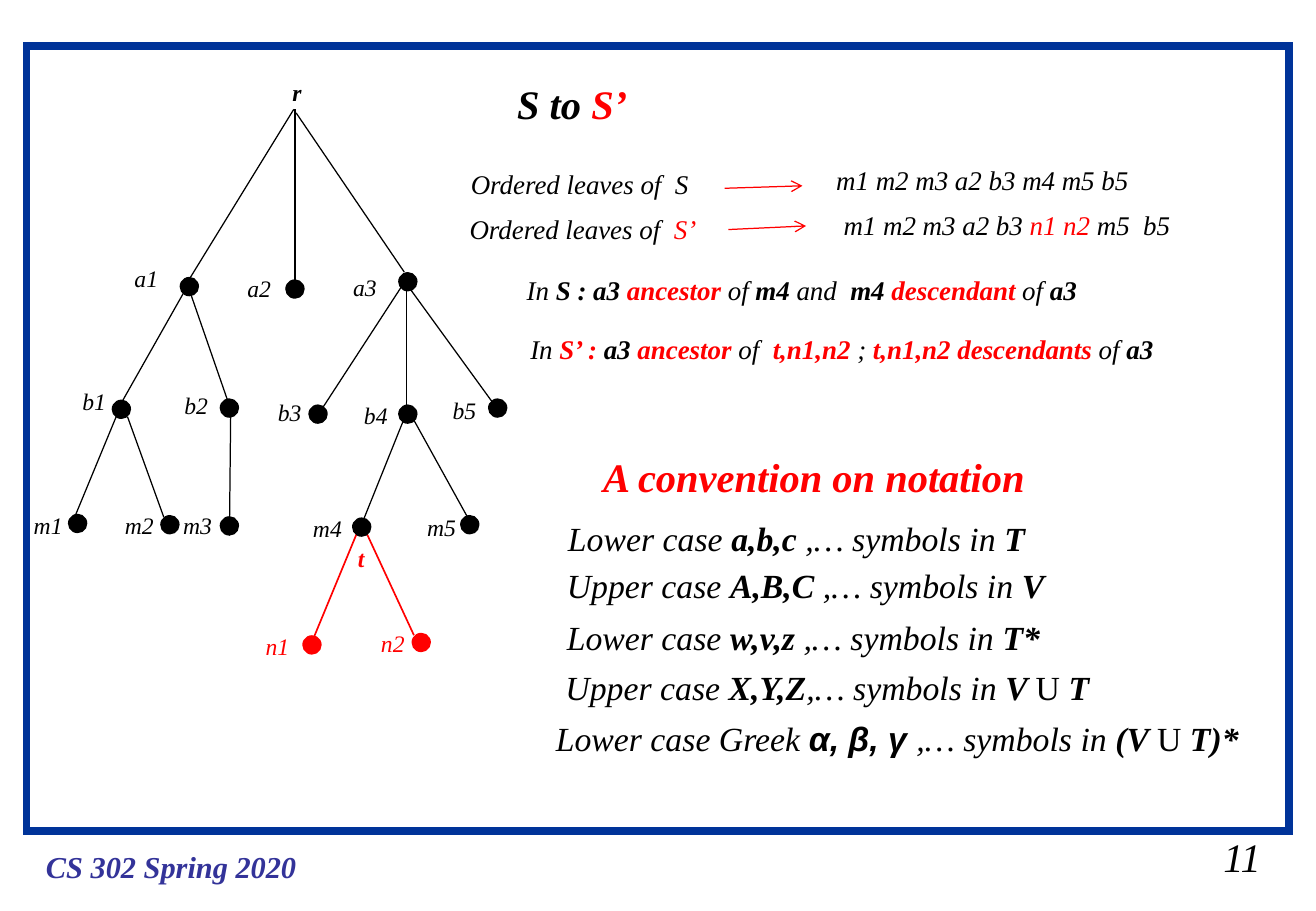
from lxml import etree
from pptx import Presentation
from pptx.dml.color import RGBColor
from pptx.enum.shapes import MSO_CONNECTOR, MSO_SHAPE
from pptx.enum.text import MSO_ANCHOR, MSO_AUTO_SIZE, PP_ALIGN
from pptx.oxml.ns import qn
from pptx.util import Pt

STRAIGHT = MSO_CONNECTOR.STRAIGHT
RECTANGLE, OVAL = MSO_SHAPE.RECTANGLE, MSO_SHAPE.OVAL
TOP, LEFT = MSO_ANCHOR.TOP, PP_ALIGN.LEFT
FIT_SHAPE = MSO_AUTO_SIZE.SHAPE_TO_FIT_TEXT

PX = 9144
COLORS = {"ink": "000000", "accent": "FF0000", "frame": "003399", "footer": "333399"}
SERIF, SANS = "Times New Roman", "Arial"
DOT = 16

NODES = {
    "a1": ((101, 212), (148, 228)),
    "a2": ((194, 221), (235, 230)),
    "a3": ((281, 220), (328, 224)),
    "b1": ((58, 314), (92, 329)),
    "b2": ((142, 317), (181, 328)),
    "b3": ((219, 323), (254, 333)),
    "b4": ((290, 325), (328, 333)),
    "b5": ((363, 321), (402, 328)),
    "m1": ((18, 416), (56, 423)),
    "m2": ((93, 416), (132, 424)),
    "m3": ((141, 416), (181, 425)),
    "m4": ((248, 418), (290, 426)),
    "m5": ((342, 417), (379, 424)),
    "n1": ((209, 515), (249, 523)),
    "n2": ((304, 513), (339, 521)),
}
BRANCHES = [
    (242, 90, 154, 233), (243, 90, 243, 241), (244, 93, 333, 224),
    (154, 233, 189, 334), (153, 238, 97, 337),
    (334, 231, 263, 340), (335, 231, 335, 346), (335, 234, 407, 333),
    (97, 340, 61, 427), (105, 343, 135, 426), (190, 342, 189, 441),
    (334, 342, 299, 429), (341, 346, 388, 431),
]
NEW_BRANCHES = [(294, 439, 258, 526), (302, 439, 341, 523)]
ARROWS = [(597, 155, 661, 153), (600, 189, 664, 186)]

LEAF_LINES = [
    ((679, 130, 273, 37), [("m1 m2 m3 a2 b3 m4 m5 b5", "")]),
    ((378, 133, 209, 37), [("Ordered leaves of  S", "")]),
    ((685, 167, 305, 37), [("m1 m2 m3 a2 b3 ", ""), ("n1 n2 ", "red"), ("m5  b5", "")]),
    ((377, 170, 213, 37), [("Ordered leaves of  ", ""), ("S’", "red")]),
    ((424, 220, 479, 37), [
        ("In ", ""), ("S : a3 ", "bold"), ("ancestor", "bold red"), (" of ", ""),
        ("m4", "bold"), (" and  ", ""), ("m4 ", "bold"), ("descendant", "bold red"),
        (" of ", ""), ("a3", "bold")]),
    ((427, 269, 566, 37), [
        ("In ", ""), ("S’ : ", "bold red"), ("a3 ", "bold"), ("ancestor", "bold red"),
        (" of  ", ""), ("t,n1,n2 ", "bold red"), ("; ", ""),
        ("t,n1,n2 descendants", "bold red"), (" of ", ""), ("a3", "bold")]),
]
CONVENTIONS = [
    ((458, 421, 402, 44), [
        ("Lower case ", ""), ("a,b,c", "bold"), (" ,… symbols in ", ""), ("T", "bold")]),
    ((457, 460, 419, 44), [
        ("Upper case ", ""), ("A,B,C", "bold"), (" ,… symbols in ", ""), ("V", "bold")]),
    ((457, 503, 418, 44), [
        ("Lower case ", ""), ("w,v,z", "bold"), (" ,… symbols in ", ""), ("T*", "bold")]),
    ((456, 544, 460, 44), [
        ("Upper case ", ""), ("X,Y,Z", "bold"), (",… symbols in ", ""), ("V ", "bold"),
        ("U", "upright"), (" T", "bold")]),
    ((448, 586, 602, 44), [
        ("Lower case Greek ", ""), ("α, β, γ ", "bold sans"), (",… symbols in ", ""),
        ("(V ", "bold"), ("U", "upright"), (" T)*", "bold")]),
]


def rgb(name):
    return RGBColor.from_string(COLORS[name])


def write(frame, runs, size, color="ink"):
    """Fill a text frame with (text, style words) runs."""
    frame.word_wrap = True
    frame.auto_size = FIT_SHAPE
    frame.vertical_anchor = TOP
    paragraph = frame.paragraphs[0]
    paragraph.alignment = LEFT
    for words, style in runs:
        run = paragraph.add_run()
        run.text = words
        run.font.name = SANS if "sans" in style else SERIF
        run.font.size = Pt(size)
        run.font.bold = "bold" in style
        run.font.italic = "upright" not in style
        run.font.color.rgb = rgb("accent" if "red" in style else color)


class GrammarSlide:
    """Draws styled elements on one slide in px."""

    def __init__(self, deck):
        self.slide = deck.slides.add_slide(deck.slide_layouts[5])
        self.shapes = self.slide.shapes

    def title(self, box, runs, **style):
        heading = self.shapes.title
        heading.left, heading.top, heading.width, heading.height = (v * PX for v in box)
        write(heading.text_frame, runs, **style)

    def text(self, box, runs, **style):
        label = self.shapes.add_textbox(*(v * PX for v in box))
        write(label.text_frame, runs, **style)

    def frame(self, box, color, weight):
        border = self.shapes.add_shape(RECTANGLE, *(v * PX for v in box))
        border.shadow.inherit = False
        border.fill.background()
        border.line.color.rgb = rgb(color)
        border.line.width = Pt(weight)
        outline = border._element.spPr.find(qn("a:ln"))
        etree.SubElement(outline, qn("a:miter"), lim="800000")

    def dot(self, corner, color):
        node = self.shapes.add_shape(OVAL, *(v * PX for v in (*corner, DOT, DOT)))
        node.shadow.inherit = False
        node.fill.solid()
        node.fill.fore_color.rgb = rgb(color)
        node.line.fill.background()

    def line(self, ends, color="ink", weight=0.75, arrow=False):
        edge = self.shapes.add_connector(STRAIGHT, *(v * PX for v in ends))
        edge.line.color.rgb = rgb(color)
        edge.line.width = Pt(weight)
        properties = edge._element.spPr
        if arrow:
            etree.SubElement(properties.find(qn("a:ln")), qn("a:tailEnd"), type="arrow")
        etree.SubElement(properties, qn("a:effectLst"))


def main():
    deck = Presentation()
    deck.slide_width, deck.slide_height = 1084 * PX, 750 * PX
    page = GrammarSlide(deck)

    page.frame((22, 38, 1040, 646), "frame", 4.5)
    page.title((416, 60, 117, 50), [("S to ", "bold"), ("S’", "bold red")], size=24)
    page.text((28, 693, 232, 40), [("CS 302 Spring 2020", "bold")], size=18, color="footer")
    page.text((998, 680, 57, 50), [("11", "")], size=24)

    for branch in BRANCHES:
        page.line(branch)
    for branch in NEW_BRANCHES:
        page.line(branch, color="accent", weight=1)
    for name, (label, corner) in NODES.items():
        color = "accent" if name.startswith("n") else "ink"
        width = 47 if name.startswith("m") else 43
        page.dot(corner, color)
        page.text((*label, width, 34), [(name, "")], size=14, color=color)
    page.text((231, 59, 30, 34), [("r", "bold")], size=14)
    page.text((285, 443, 40, 34), [("t", "bold red")], size=14)

    for box, runs in LEAF_LINES:
        page.text(box, runs, size=16)
    for arrow in ARROWS:
        page.line(arrow, color="accent", arrow=True)

    page.text((487, 367, 375, 50), [("A convention on notation", "bold red")], size=24)
    for box, runs in CONVENTIONS:
        page.text(box, runs, size=20)

    deck.save("out.pptx")


if __name__ == "__main__":
    main()
